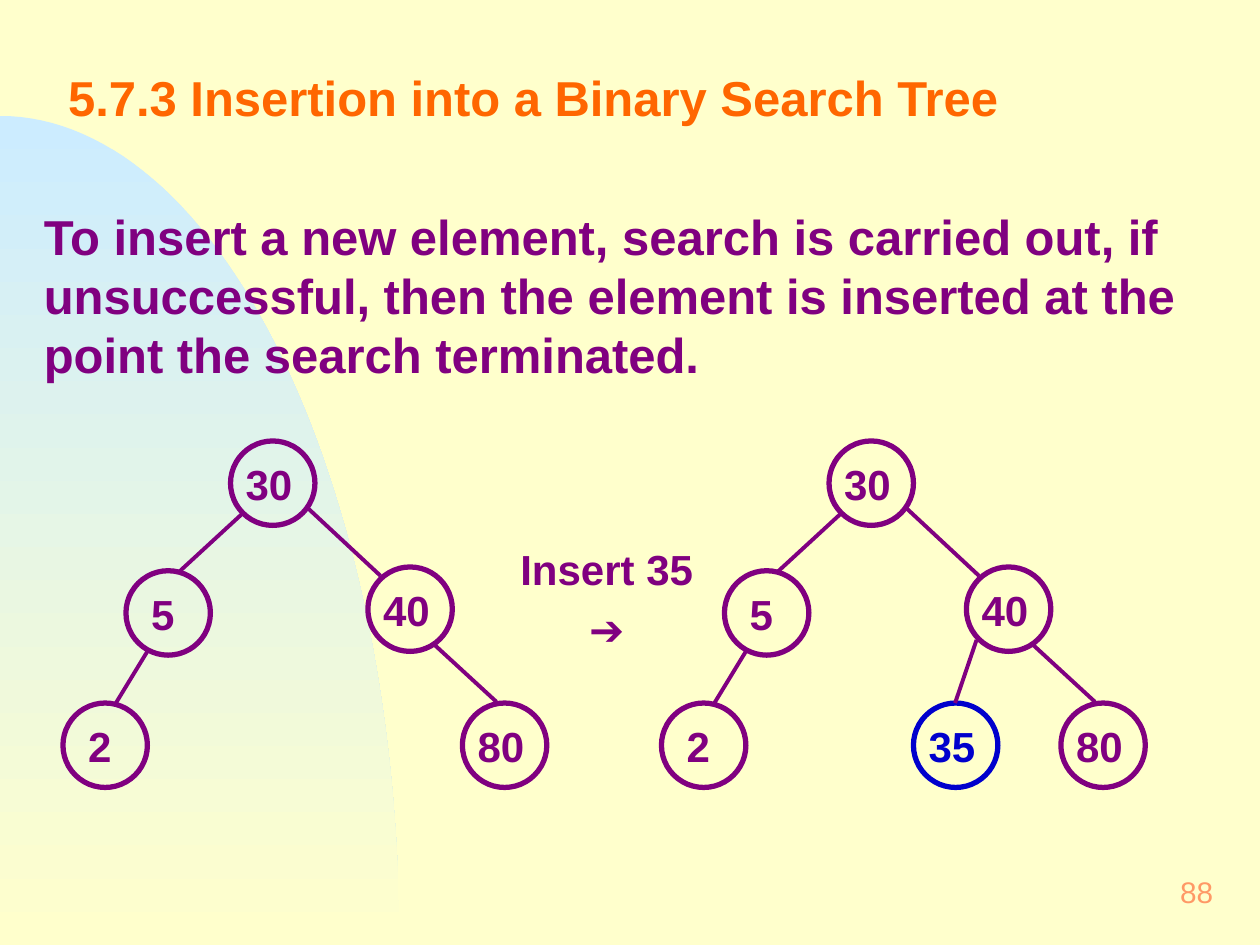
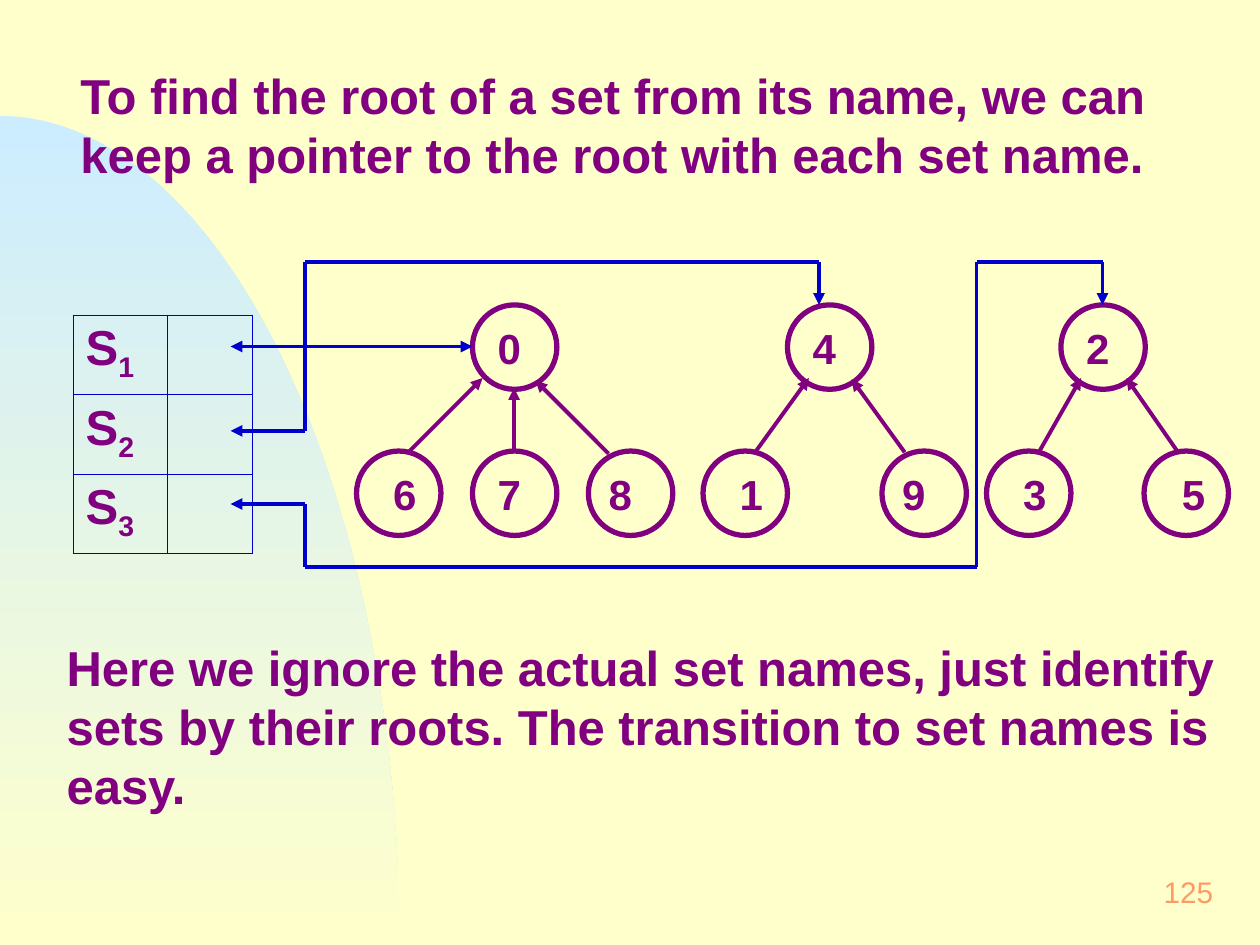
from itertools import pairwise
from math import cos, pi, sin

from lxml import etree
from pptx import Presentation
from pptx.dml.color import RGBColor
from pptx.enum.shapes import MSO_CONNECTOR, MSO_SHAPE
from pptx.enum.text import MSO_ANCHOR, PP_ALIGN
from pptx.oxml.ns import qn
from pptx.util import Inches, Pt

STRAIGHT = MSO_CONNECTOR.STRAIGHT
OVAL = MSO_SHAPE.OVAL
MIDDLE = MSO_ANCHOR.MIDDLE
LEFT, CENTER, RIGHT = PP_ALIGN.LEFT, PP_ALIGN.CENTER, PP_ALIGN.RIGHT

FONT = "Arial"
CREAM, SKY = "FFFFCC", "CCECFF"
PURPLE, BLUE = "800080", "0000CC"
ORANGE, PEACH = "FF6600", "FF9966"
TITLE_ONLY, BLANK = 5, 6
NODE_SIZE = 0.67
WIDE_INSETS = (0.12, 0.06)
BODY_INSETS = (0.1, 0.05)

SEARCH_TREE_NODES = [
    ("30", 1.83, 3.5), ("5", 1, 4.53), ("40", 2.92, 4.5),
    ("2", 0.5, 5.58), ("80", 3.67, 5.58),
]
SEARCH_TREE_EDGES = [
    ((1.92, 4.08), (1.42, 4.54)), ((1.17, 5.17), (0.92, 5.58)),
    ((2.44, 4.03), (3.02, 4.57)), ((3.44, 5.11), (3.94, 5.57)),
]
# Each set: root label, root left, then (label, left, label shift, edge start, edge tip).
SET_TREES = [
    ("0", 3.75, [
        ("6", 2.83, 0.17, (3.25, 3.58), (3.83, 3)),
        ("7", 3.75, 0.08, (4.08, 3.58), (4.08, 3.08)),
        ("8", 4.67, 0.04, (4.83, 3.6), (4.25, 3.02)),
    ]),
    ("4", 6.25, [
        ("1", 5.58, 0.17, (6, 3.58), (6.42, 3)),
        ("9", 7, 0.04, (7.18, 3.59), (6.76, 3.01)),
    ]),
    ("2", 8.42, [
        ("3", 7.83, 0.17, (8.25, 3.58), (8.58, 3)),
        ("5", 9.08, 0.18, (9.35, 3.59), (8.94, 3)),
    ]),
]
SET_POINTERS = [
    [(1.83, 2.75), (3.75, 2.75)],
    [(1.83, 3.42), (2.42, 3.42), (2.42, 2.08), (6.5, 2.08), (6.5, 2.42)],
    [(1.83, 4), (2.42, 4), (2.42, 4.5), (7.75, 4.5), (7.75, 2.08),
     (8.75, 2.08), (8.75, 2.42)],
]


def color(value):
    """Return the colour for a hex string."""
    return RGBColor.from_string(value)


def add_run(paragraph, text, size, text_color, bold=True):
    """Append a formatted run to a paragraph."""
    run = paragraph.add_run()
    run.text = text
    run.font.name = FONT
    run.font.size = Pt(size)
    run.font.bold = bold
    run.font.color.rgb = color(text_color)
    return run


def set_frame(frame, insets, wrap=True):
    """Set the margins and wrapping of a text frame."""
    frame.margin_left = frame.margin_right = Inches(insets[0])
    frame.margin_top = frame.margin_bottom = Inches(insets[1])
    frame.word_wrap = wrap


def add_text(slide, box, lines, size, text_color=PURPLE, insets=WIDE_INSETS,
             align=LEFT, bold=True, wrap=True):
    """Add a text box with one paragraph per line."""
    shape = slide.shapes.add_textbox(*map(Inches, box))
    frame = shape.text_frame
    set_frame(frame, insets, wrap)
    for index, line in enumerate(lines):
        paragraph = frame.add_paragraph() if index else frame.paragraphs[0]
        paragraph.alignment = align
        if index:
            paragraph.space_before = Pt(6)
        add_run(paragraph, line, size, text_color, bold)
    return shape


def add_body(slide, left, top, height, text):
    """Add a large statement across the slide."""
    add_text(slide, (left, top, 9.58, height), [text], 28, insets=BODY_INSETS)


def add_page_number(slide, number):
    """Add the page number at the lower right."""
    shape = add_text(slide, (7.67, 6.83, 2.08, 0.5), [number], 17, PEACH,
                     align=RIGHT, bold=False, wrap=False)
    shape.text_frame.vertical_anchor = MIDDLE


def add_title(slide, text):
    """Place and format the title placeholder."""
    title = slide.shapes.title
    title.left, title.top, title.width, title.height = map(
        Inches, (0.42, 0.33, 9.25, 1))
    set_frame(title.text_frame, WIDE_INSETS)
    title.text_frame.vertical_anchor = MIDDLE
    paragraph = title.text_frame.paragraphs[0]
    paragraph.alignment = LEFT
    paragraph.line_spacing = 0.7
    add_run(paragraph, text, 28, ORANGE)


def add_line(slide, start, end, line_color=PURPLE, head=False, tail=False):
    """Draw a straight line with optional arrowheads at its ends."""
    connector = slide.shapes.add_connector(
        STRAIGHT, *map(Inches, (*start, *end)))
    connector.line.color.rgb = color(line_color)
    connector.line.width = Pt(2.25)
    line = connector.line._get_or_add_ln()
    for name, wanted in (("a:headEnd", head), ("a:tailEnd", tail)):
        if wanted:
            etree.SubElement(line, qn(name), type="triangle")
    etree.SubElement(connector._element.spPr, qn("a:effectLst"))


def add_pointer(slide, points):
    """Draw a two-headed pointer through a list of points."""
    segments = list(pairwise(points))
    for index, (start, end) in enumerate(segments):
        add_line(slide, start, end, BLUE, head=index == 0,
                 tail=index == len(segments) - 1)


def add_node(slide, label, left, top, node_color=PURPLE, shift=None):
    """Draw a circled tree node with its label."""
    circle = slide.shapes.add_shape(
        OVAL, *map(Inches, (left, top, NODE_SIZE, NODE_SIZE)))
    circle.shadow.inherit = False
    circle.fill.background()
    circle.line.color.rgb = color(node_color)
    circle.line.width = Pt(3)
    if shift is None:
        shift = 0.08 if len(label) == 1 else 0
    add_text(slide, (left + shift, top + 0.08, NODE_SIZE, 0.52), [label], 24,
             node_color)


def add_search_tree(slide, offset):
    """Draw the binary search tree moved right by an offset."""
    for label, left, top in SEARCH_TREE_NODES:
        add_node(slide, label, left + offset, top)
    for (x1, y1), (x2, y2) in SEARCH_TREE_EDGES:
        add_line(slide, (x1 + offset, y1), (x2 + offset, y2))


def add_set_tree(slide, root, root_left, children):
    """Draw a set whose members point to its root."""
    add_node(slide, root, root_left, 2.42)
    for label, left, shift, start, tip in children:
        add_node(slide, label, left, 3.58, shift=shift)
        add_line(slide, start, tip, tail=True)


def set_cell_borders(cell):
    """Give a table cell thin blue borders."""
    properties = cell._tc.get_or_add_tcPr()
    for side in ("a:lnL", "a:lnR", "a:lnT", "a:lnB"):
        border = etree.SubElement(properties, qn(side), w=str(Pt(0.45)))
        fill = etree.SubElement(border, qn("a:solidFill"))
        etree.SubElement(fill, qn("a:srgbClr"), val=BLUE)


def add_set_table(slide):
    """Add the table of set names with room for pointers."""
    frame = slide.shapes.add_table(
        3, 2, *map(Inches, (0.58, 2.5, 1.42, 1.89)))
    table = frame.table
    table.first_row = table.horz_banding = False
    for column, width in zip(table.columns, (0.75, 0.67)):
        column.width = Inches(width)
    for number, row in enumerate(table.rows, 1):
        row.height = Inches(0.63)
        for cell in row.cells:
            set_cell_borders(cell)
            cell.fill.background()
        paragraph = row.cells[0].text_frame.paragraphs[0]
        add_run(paragraph, "S", 28, PURPLE)
        subscript = add_run(paragraph, str(number), 28, PURPLE)
        subscript._r.get_or_add_rPr().set("baseline", "-25000")


def decorate_master(presentation, slide):
    """Put the background and the curved band on the slide master."""
    master = presentation.slide_master
    background = master.background.fill
    background.solid()
    background.fore_color.rgb = color(CREAM)

    steps = 60
    angles = [pi / 2 * step / steps for step in range(1, steps + 1)]
    curve = [(Inches(3.17 * sin(angle)), Inches(7.5 - 6.58 * cos(angle)))
             for angle in angles]
    builder = slide.shapes.build_freeform(0, Inches(0.92))
    builder.add_line_segments(curve + [(0, Inches(7.5))], close=True)
    band = builder.convert_to_shape()
    band.shadow.inherit = False
    band.line.fill.background()
    band.fill.gradient()
    band.fill.gradient_angle = 270
    for stop, stop_color in zip(band.fill.gradient_stops, (SKY, CREAM)):
        stop.color.rgb = color(stop_color)
    master.shapes._spTree.insert(2, band._element)


def build_insertion_slide(slide):
    """Show a search tree before and after inserting 35."""
    add_title(slide, "5.7.3 Insertion into a Binary Search Tree")
    add_page_number(slide, "88")
    add_body(slide, 0.25, 1.59, 1.5,
             "To insert a new element, search is carried out, if unsuccessful, "
             "then the element is inserted at the point the search terminated.")
    add_search_tree(slide, 0)
    add_text(slide, (3.94, 4.25, 1.75, 1.01), ["Insert 35", "➔"], 24,
             align=CENTER)
    add_search_tree(slide, 4.75)
    add_node(slide, "35", 7.25, 5.58, BLUE)
    add_line(slide, (7.75, 5.08), (7.58, 5.58))


def build_sets_slide(slide):
    """Show set names pointing to the roots of their trees."""
    add_page_number(slide, "125")
    add_body(slide, 0.54, 0.47, 1.04,
             "To find the root of a set from its name, we can keep a pointer "
             "to the root with each set name.")
    for root, left, children in SET_TREES:
        add_set_tree(slide, root, left, children)
    add_body(slide, 0.43, 5.01, 1.5,
             "Here we ignore the actual set names, just identify sets by their "
             "roots. The transition to set names is easy.")
    add_set_table(slide)
    for points in SET_POINTERS:
        add_pointer(slide, points)


def main():
    """Build and save the presentation."""
    presentation = Presentation()
    presentation.slide_width = Inches(10)
    presentation.slide_height = Inches(7.5)
    layouts = presentation.slide_layouts
    insertion_slide = presentation.slides.add_slide(layouts[TITLE_ONLY])
    decorate_master(presentation, insertion_slide)
    build_insertion_slide(insertion_slide)
    build_sets_slide(presentation.slides.add_slide(layouts[BLANK]))
    presentation.save("out.pptx")


if __name__ == "__main__":
    main()
